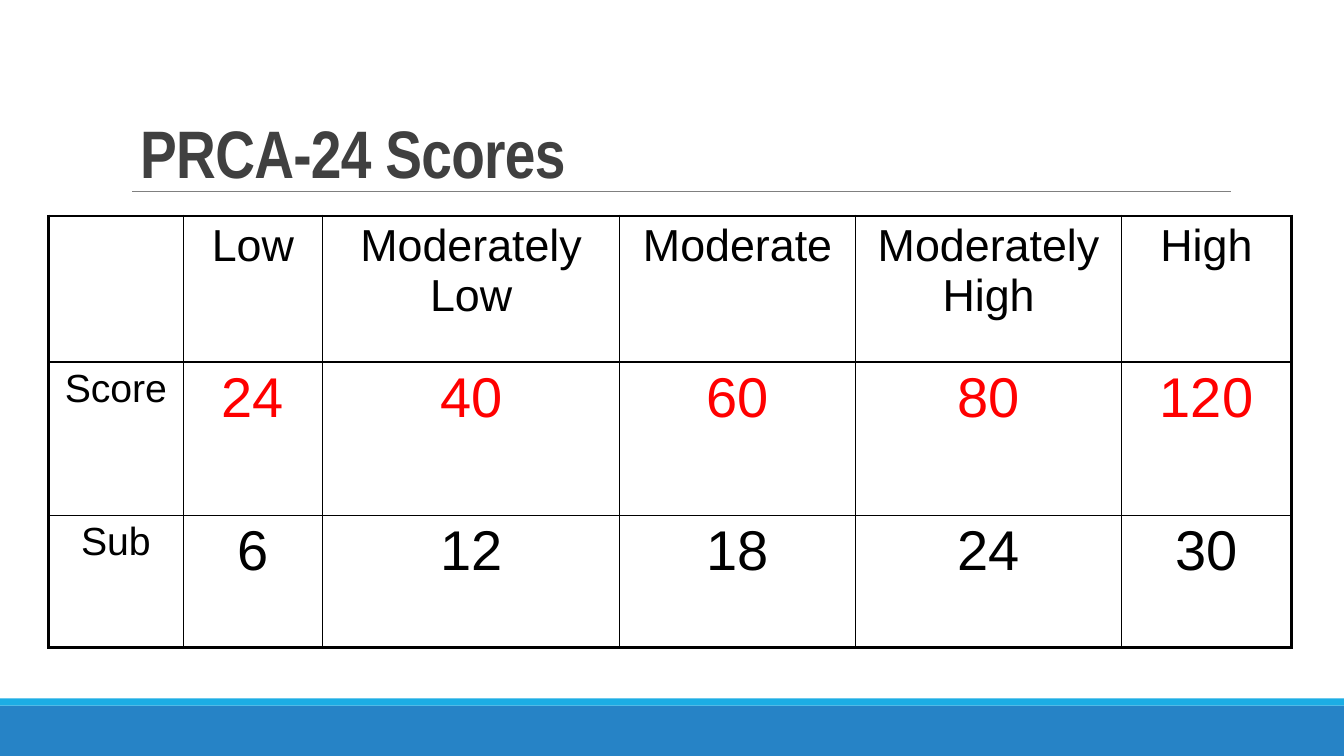
import pptx
import pptx.util
import pptx.dml.color
import pptx.enum.shapes
import pptx.enum.text
import pptx.oxml.ns
import lxml.etree

Cm, Pt = pptx.util.Cm, pptx.util.Pt
Align, Anchor = pptx.enum.text.PP_ALIGN, pptx.enum.text.MSO_ANCHOR

# Content
TITLE = "PRCA-24 Scores"
ROWS = [
    ("", "Low", "Moderately Low", "Moderate", "Moderately High", "High"),
    ("Score", "24", "40", "60", "80", "120"),
    ("Sub", "6", "12", "18", "24", "30"),
]
COLUMN_WIDTHS = (3.4, 3.51, 7.49, 5.94, 6.71, 4.27)
ROW_HEIGHTS = (3.68, 3.86, 3.33)

# Theme
THEME = {
    "black": "000000", "red": "FF0000", "title": "404040", "rule": "808080",
    "band": "2683C6", "stripe": "1CADE4",
    "title_size": 48, "head_size": 32, "label_size": 28, "value_size": 40,
    "outer_border": 2.25, "inner_border": 1,
}


def color(name):
    return pptx.dml.color.RGBColor.from_string(THEME[name])


def apply_format(target, values):
    for name, value in values.items():
        setattr(target, name, value)


def write(frame, text, align, size, shade, **font):
    para = frame.paragraphs[0]
    para.alignment = align
    span = para.add_run()
    span.text = text
    apply_format(span.font, {"size": Pt(THEME[size]), **font})
    span.font.color.rgb = color(shade)
    return span


def set_border(cell, side, width):
    qn = pptx.oxml.ns.qn
    line = lxml.etree.SubElement(cell._tc.get_or_add_tcPr(), qn("a:ln" + side), w=str(Pt(width)))
    fill = lxml.etree.SubElement(line, qn("a:solidFill"))
    lxml.etree.SubElement(fill, qn("a:srgbClr"), val=THEME["black"])


deck = pptx.Presentation()
apply_format(deck, {"slide_width": Cm(33.87), "slide_height": Cm(19.05)})
page = deck.slides.add_slide(deck.slide_layouts[5])

# Footer bands
for shade, top, height in (("band", 17.78, 1.27), ("stripe", 17.6, 0.18)):
    bar = page.shapes.add_shape(pptx.enum.shapes.MSO_SHAPE.RECTANGLE,
                                0, Cm(top), deck.slide_width, Cm(height))
    bar.shadow.inherit = False
    bar.fill.solid()
    bar.fill.fore_color.rgb = color(shade)
    bar.line.fill.background()

# Title and its rule
title = page.shapes.title
apply_format(title, {"left": Cm(3.28), "top": Cm(1.85), "width": Cm(22.45), "height": Cm(3.12)})
apply_format(title.text_frame, {"vertical_anchor": Anchor.BOTTOM, "word_wrap": True,
                                "auto_size": pptx.enum.text.MSO_AUTO_SIZE.NONE})
span = write(title.text_frame, TITLE, Align.LEFT, "title_size", "title",
             name="Arial Narrow", bold=True)
span._r.get_or_add_rPr().set("spc", "-50")
title.text_frame.paragraphs[0].line_spacing = 0.85

rule = page.shapes.add_connector(pptx.enum.shapes.MSO_CONNECTOR.STRAIGHT,
                                 Cm(3.33), Cm(4.83), Cm(31.01), Cm(4.83))
rule.line.color.rgb = color("rule")
rule.line.width = Pt(0.5)
lxml.etree.SubElement(rule._element.spPr, pptx.oxml.ns.qn("a:effectLst"))

# Score table
last_row, last_column = len(ROWS) - 1, len(COLUMN_WIDTHS) - 1
table = page.shapes.add_table(len(ROWS), len(COLUMN_WIDTHS), Cm(1.22), Cm(5.44),
                              Cm(sum(COLUMN_WIDTHS)), Cm(sum(ROW_HEIGHTS))).table
apply_format(table, {"first_row": False, "horz_banding": False})
for column, width in zip(table.columns, COLUMN_WIDTHS):
    column.width = Cm(width)
for row, height in zip(table.rows, ROW_HEIGHTS):
    row.height = Cm(height)

for r, texts in enumerate(ROWS):
    for c, text in enumerate(texts):
        cell = table.cell(r, c)
        edges = {"L": c == 0, "R": c == last_column, "T": r == 0, "B": r == last_row}
        for side, outer in edges.items():
            set_border(cell, side, THEME["outer_border" if outer else "inner_border"])
        cell.fill.background()
        if text:
            size = "head_size" if r == 0 else "label_size" if c == 0 else "value_size"
            shade = "red" if r == 1 and c > 0 else "black"
            write(cell.text_frame, text, Align.CENTER, size, shade, name="Arial")

deck.save("out.pptx")
